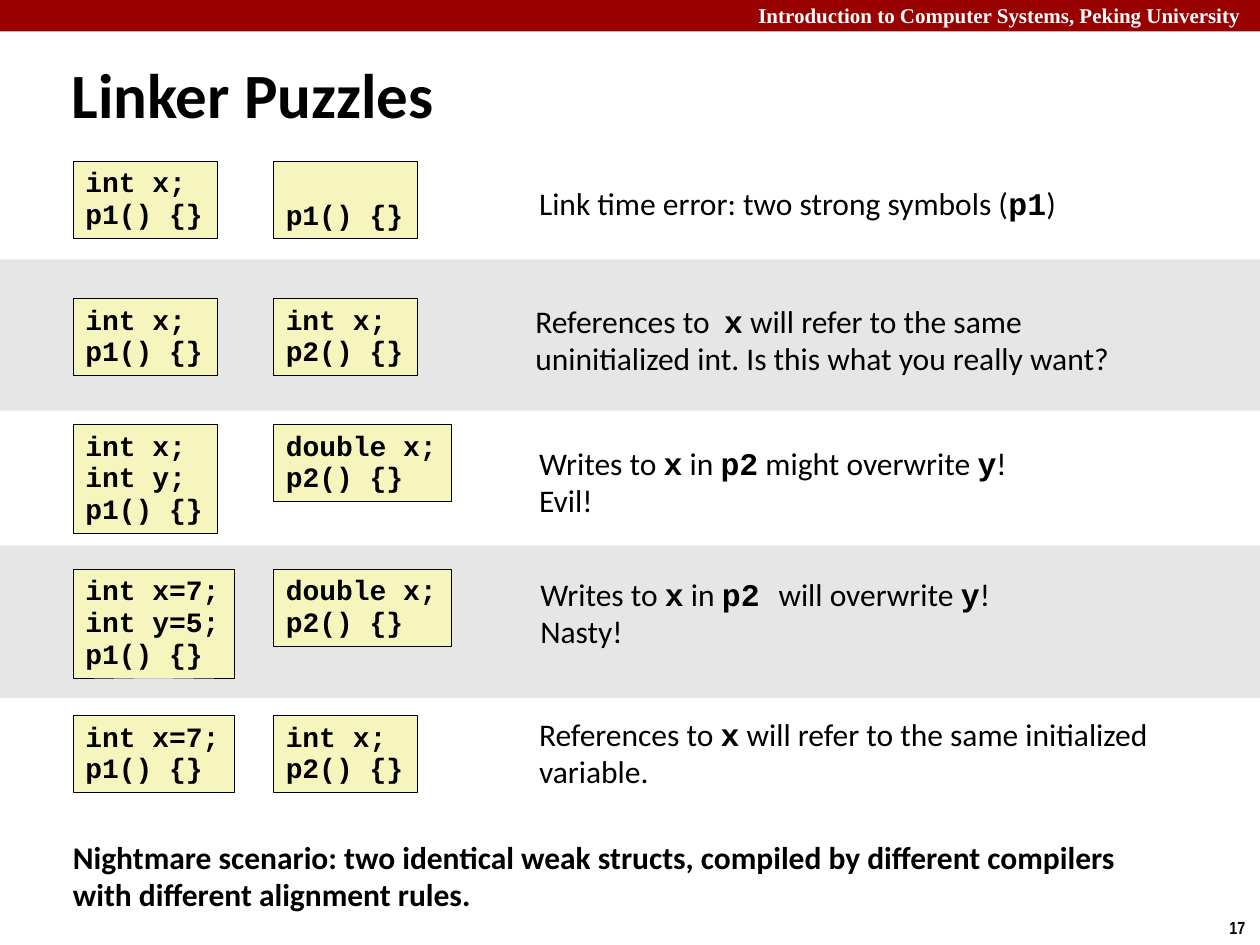
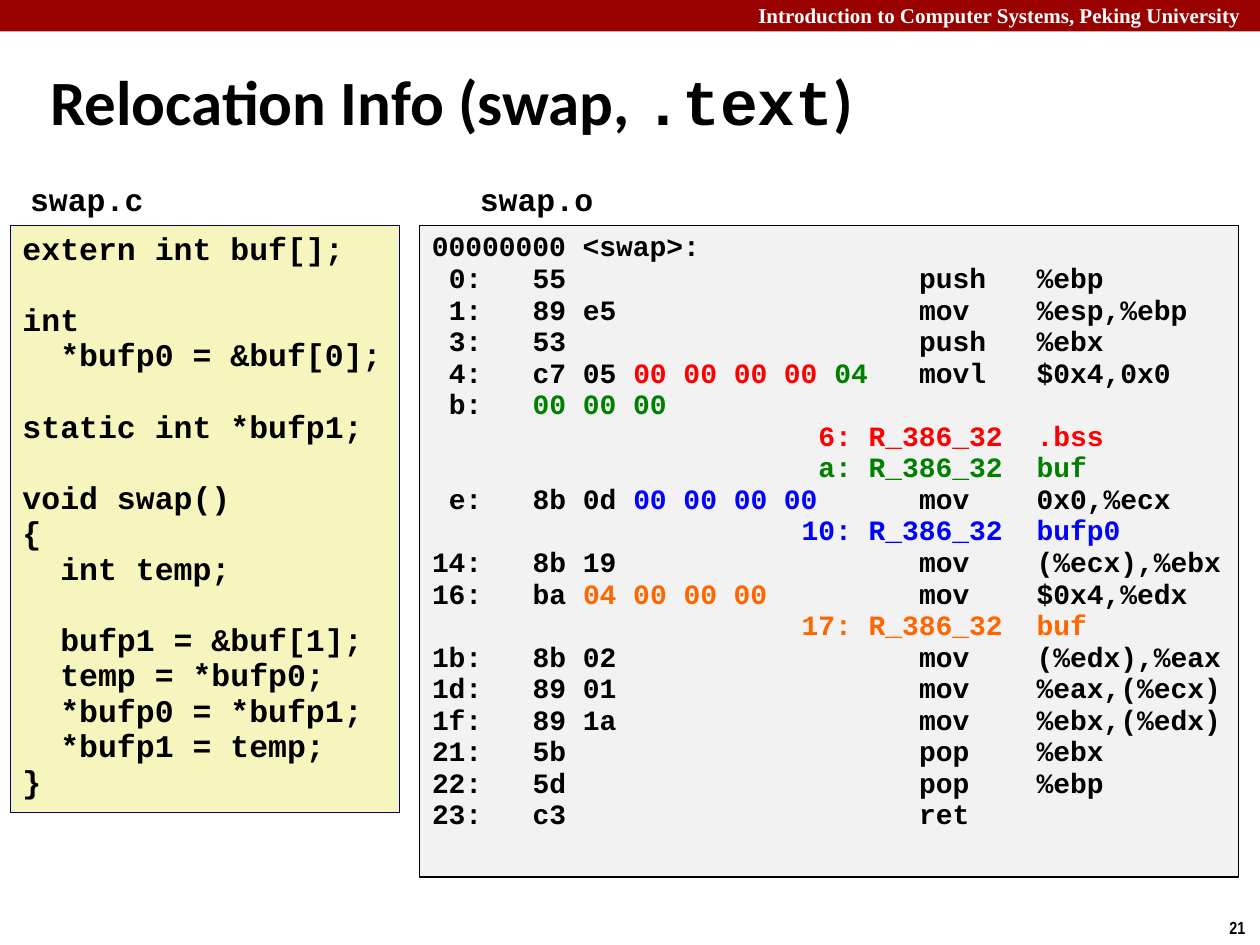
from lxml import etree
from pptx import Presentation
from pptx.dml.color import RGBColor
from pptx.enum.shapes import MSO_SHAPE
from pptx.enum.text import MSO_ANCHOR, PP_ALIGN
from pptx.oxml.ns import qn
from pptx.util import Inches, Pt

RECT = MSO_SHAPE.RECTANGLE
TOP, MIDDLE, BOTTOM = MSO_ANCHOR.TOP, MSO_ANCHOR.MIDDLE, MSO_ANCHOR.BOTTOM
LEFT = PP_ALIGN.LEFT

COLORS = {
    "black": "000000", "white": "FFFFFF", "crimson": "990000",
    "band": "E6E6E6", "cream": "F6F5BD", "pale": "F2F2F2", "navy": "000066",
    "red": "FF0000", "green": "008000", "blue": "0000FF", "orange": "FF6600",
}
SANS, MONO = "Calibri", "Courier New"

# Text formats; "color" is a key of COLORS
TITLE = {"name": SANS, "size": Pt(36), "bold": True, "color": "black"}
NOTE = {"name": SANS, "size": Pt(18), "bold": False, "color": "black"}
STRONG = {**NOTE, "bold": True}
CODE = {"name": MONO, "size": Pt(16), "bold": True, "color": "black"}
SOURCE = {**CODE, "size": Pt(18)}
HEAD = {"name": "Times New Roman", "size": Pt(12), "bold": True, "color": "white"}
PAGE = {"name": "Arial Narrow", "size": Pt(10), "bold": True, "color": "black"}
TIGHT = 0.94  # line spacing of code

# `key:text` inside a line changes the format of that text
MARKS = {"mono": {"name": MONO, "bold": True}}
MARKS.update({key: {"color": key} for key in ("red", "green", "blue", "orange")})

# Code box top, two code files, note left and top, note lines
PUZZLES = [
    (1.28, ["int x;", "p1() {}"], ["p1() {}"], 4.18, 1.43,
     ["Link time error: two strong symbols (`mono:p1`)"]),
    (2.37, ["int x;", "p1() {}"], ["int x;", "p2() {}"], 4.15, 2.36,
     ["References to  `mono:x` will refer to the same",
      "uninitialized int. Is this what you really want?"]),
    (3.37, ["int x;", "int y;", "p1() {}"], ["double x;", "p2() {}"], 4.18, 3.49,
     ["Writes to `mono:x` in `mono:p2` might overwrite `mono:y`!", "Evil!"]),
    (4.52, ["int x=7;", "int y=5;", "p1() {}"], ["double x;", "p2() {}"], 4.19, 4.53,
     ["Writes to `mono:x` in `mono:p2 `will overwrite `mono:y`!", "Nasty!"]),
    (5.68, ["int x=7;", "p1() {}"], ["int x;", "p2() {}"], 4.18, 5.64,
     ["References to `mono:x` will refer to the same initialized", "variable."]),
]

# Groups of (indent level, line); a gap of one line parts the groups
SWAP = [
    [(0, "extern int buf[];")],
    [(0, "int"), (1, "*bufp0 = &buf[0];")],
    [(0, "static int *bufp1;")],
    [(0, "void swap()"), (0, "{"), (1, "int temp;")],
    [(1, "bufp1 = &buf[1];"), (1, "temp = *bufp0;"), (1, "*bufp0 = *bufp1;"),
     (1, "*bufp1 = temp;"), (0, "}")],
]

# Bars stand for tab stops
LISTING = [
    "00000000 <swap>:",
    "|0:|55|push|%ebp",
    "|1:|89 e5|mov|%esp,%ebp",
    "|3:|53|push|%ebx",
    "|4:|c7 05 `red:00 00 00 00` `green:04`|movl|$0x4,0x0",
    "|b:|`green:00 00 00`",
    "|`red:6:|R_386_32|.bss`",
    "|`green:a:|R_386_32|buf`",
    "|e:|8b 0d `blue:00 00 00 00`|mov|0x0,%ecx",
    "|`blue:10:|R_386_32|bufp0`",
    "|14:|8b 19|mov|(%ecx),%ebx",
    "|16:|ba `orange:04 00 00 00`|mov|$0x4,%edx",
    "|`orange:17:|R_386_32|buf`",
    "|1b:|8b 02|mov|(%edx),%eax",
    "|1d:|89 01|mov|%eax,(%ecx)",
    "|1f:|89 1a|mov|%ebx,(%edx)",
    "|21:|5b|pop|%ebx",
    "|22:|5d|pop|%ebp",
    "|23:|c3|ret",
]
# Tab stops in characters: address, bytes, name, operand
OPS = [(3, "r"), (6, "l"), (29, "l"), (36, "l")]
RELOCS = [(25, "r"), (26, "l"), (36, "l")]
CHAR = 0.6 * 16 / 72  # width of one 16-point code letter, in inches


def rgb(key):
    return RGBColor.from_string(COLORS[key])


def add_run(para, text, form):
    run = para.add_run()
    run.text = text.replace("|", "\t")
    for key, value in form.items():
        if key == "color":
            run.font.color.rgb = rgb(value)
        else:
            setattr(run.font, key, value)


def write(shape, lines, form, wrap=True, anchor=TOP, spacing=1.0):
    """Fill a shape with lines and return their paragraphs."""
    frame = shape.text_frame
    frame.word_wrap, frame.vertical_anchor = wrap, anchor
    paras = []
    for row, line in enumerate(lines):
        para = frame.add_paragraph() if row else frame.paragraphs[0]
        para.alignment, para.line_spacing = LEFT, spacing
        for spot, part in enumerate(line.split("`")):
            extra = {}
            if spot % 2:
                key, _, part = part.partition(":")
                extra = MARKS[key]
            if part:
                add_run(para, part, {**form, **extra})
        paras.append(para)
    return paras


def add_rect(slide, box, fill, line=None, weight=0.25):
    shape = slide.shapes.add_shape(RECT, *map(Inches, box))
    shape.shadow.inherit = False
    shape.fill.solid()
    shape.fill.fore_color.rgb = rgb(fill)
    if line:
        shape.line.color.rgb = rgb(line)
        shape.line.width = Pt(weight)
    else:
        shape.line.fill.background()
    return shape


def add_text(slide, box, lines, form, **layout):
    return write(slide.shapes.add_textbox(*map(Inches, box)), lines, form, **layout)


def add_note(slide, left, top, lines, form=NOTE):
    box = (left, top, 9.8 - left, 0.1 + 0.3 * len(lines))
    add_text(slide, box, lines, form, spacing=0.98)


def add_code(slide, left, top, lines, rows=2, anchor=TOP):
    """Draw a code box that fits its longest line."""
    width = 0.21 + CHAR * max(map(len, lines))
    shape = add_rect(slide, (left, top, width, 0.11 + 0.25 * rows), "cream", "black")
    write(shape, lines, CODE, wrap=False, anchor=anchor, spacing=TIGHT)


def set_tabs(para, stops):
    tabs = etree.SubElement(para._p.get_or_add_pPr(), qn("a:tabLst"))
    for col, side in stops:
        etree.SubElement(tabs, qn("a:tab"), pos=str(Inches(col * CHAR)), algn=side)


def add_base(deck, number, title, left, top, spacing=1.0):
    """Start a slide with header band, page number and title."""
    slide = deck.slides.add_slide(deck.slide_layouts[6])
    add_rect(slide, (0, 0, 10, 0.25), "crimson")
    add_text(slide, (5.92, -0.03, 4.08, 0.3),
             ["Introduction to Computer Systems, Peking University"], HEAD)
    add_text(slide, (9.66, 7.23, 0.34, 0.27), [str(number)], PAGE, wrap=False)
    add_text(slide, (left, top, 9.53, 0.86), [title], TITLE,
             anchor=MIDDLE, spacing=spacing)
    return slide


def add_puzzles(deck):
    slide = add_base(deck, 17, "Linker Puzzles", 0.47, 0.31)
    for top, height in ((2.06, 1.2), (4.33, 1.21)):
        add_rect(slide, (0, top, 10, height), "band")
    for top, first, second, left, level, note in PUZZLES:
        add_code(slide, 0.58, top, first, len(first))
        add_code(slide, 2.17, top, second, anchor=TOP if len(second) > 1 else BOTTOM)
        add_note(slide, left, level, note)
    add_note(slide, 0.48, 6.62, [
        "Nightmare scenario: two identical weak structs, compiled by different compilers",
        "with different alignment rules."], STRONG)


def add_swap(deck):
    slide = add_base(deck, 21, "Relocation Info (swap, `mono:.text`)", 0.3, 0.42, 0.82)
    for left, name in ((0.14, "swap.c"), (3.71, "swap.o")):
        add_text(slide, (left, 1.38, 1.5, 0.4), [name], SOURCE)

    # Source file
    shape = add_rect(slide, (0.08, 1.79, 3.09, 4.66), "cream", "navy")
    lines = [(level, text, bool(part) and not row)
             for part, group in enumerate(SWAP)
             for row, (level, text) in enumerate(group)]
    paras = write(shape, [text for _, text, _ in lines], SOURCE, spacing=TIGHT)
    for para, (level, _, gap) in zip(paras, lines):
        if gap:
            para.space_before = Pt(20.4)
        if level:
            para._p.get_or_add_pPr().set("marL", str(Inches(0.3)))

    # Object file
    shape = add_rect(slide, (3.33, 1.79, 6.5, 5.17), "pale", "black", 1)
    for para, line in zip(write(shape, LISTING, CODE, spacing=TIGHT), LISTING):
        set_tabs(para, RELOCS if "R_386" in line else OPS)


def main():
    deck = Presentation()
    deck.slide_width, deck.slide_height = Inches(10), Inches(7.5)
    add_puzzles(deck)
    add_swap(deck)
    deck.save("out.pptx")


if __name__ == "__main__":
    main()
